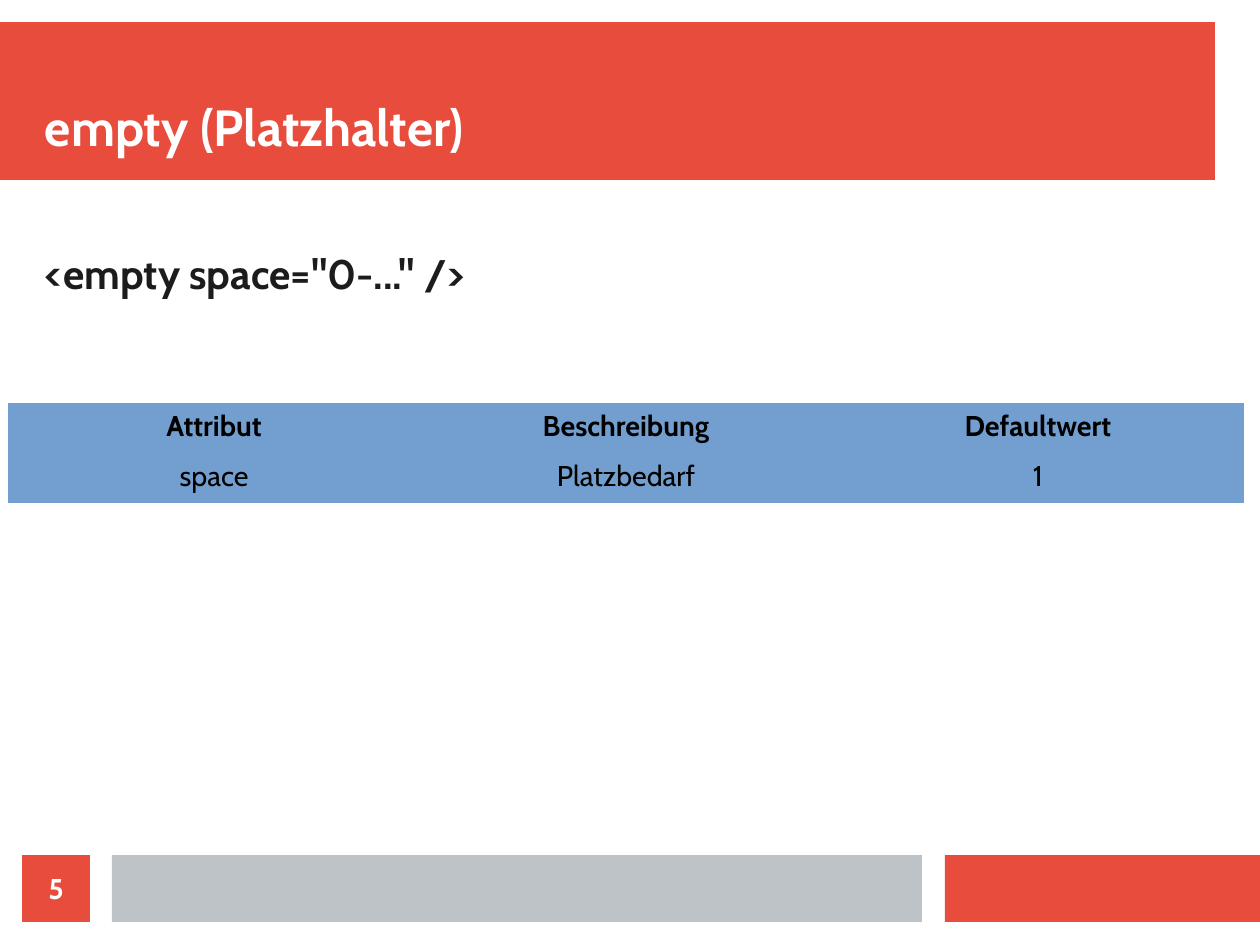
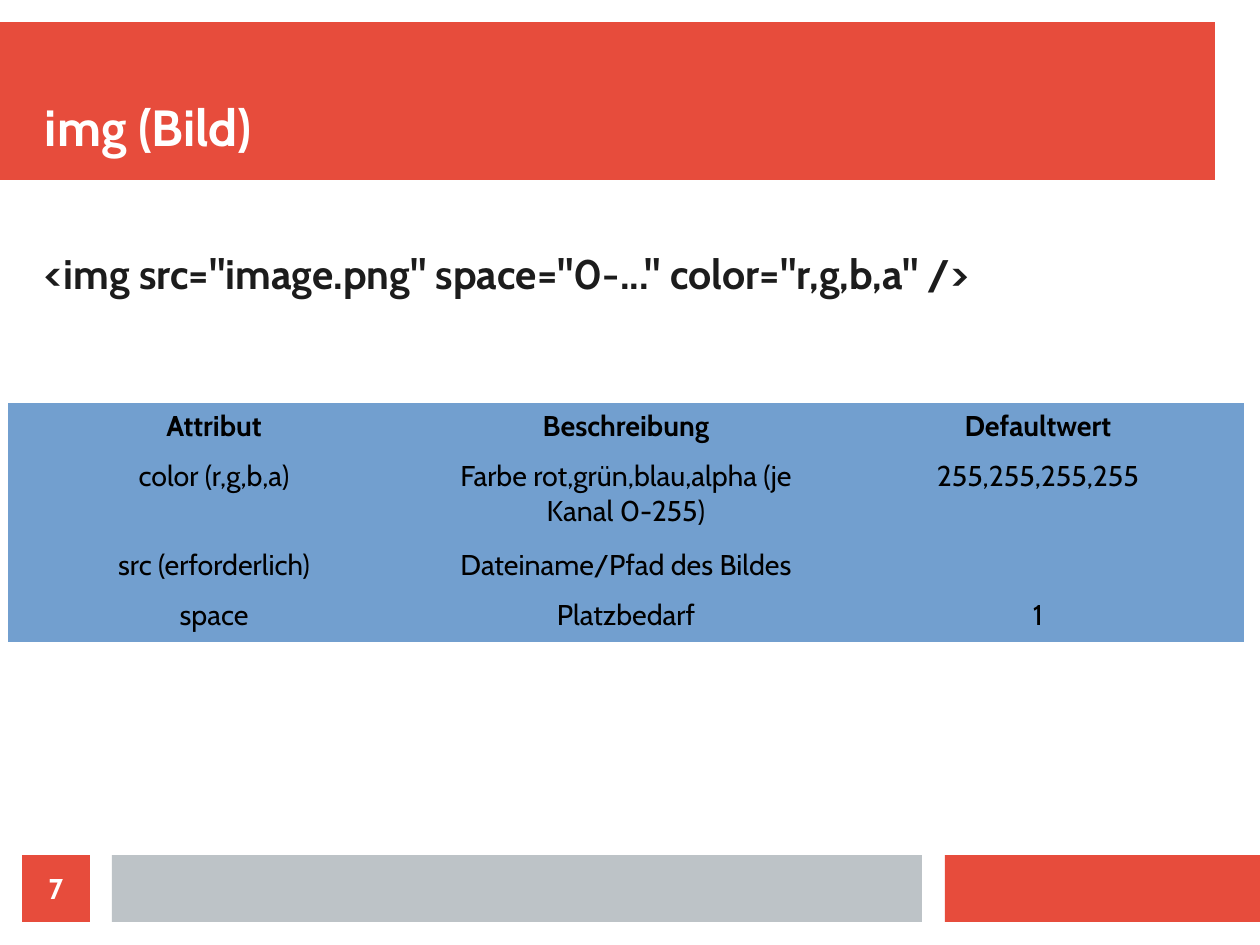
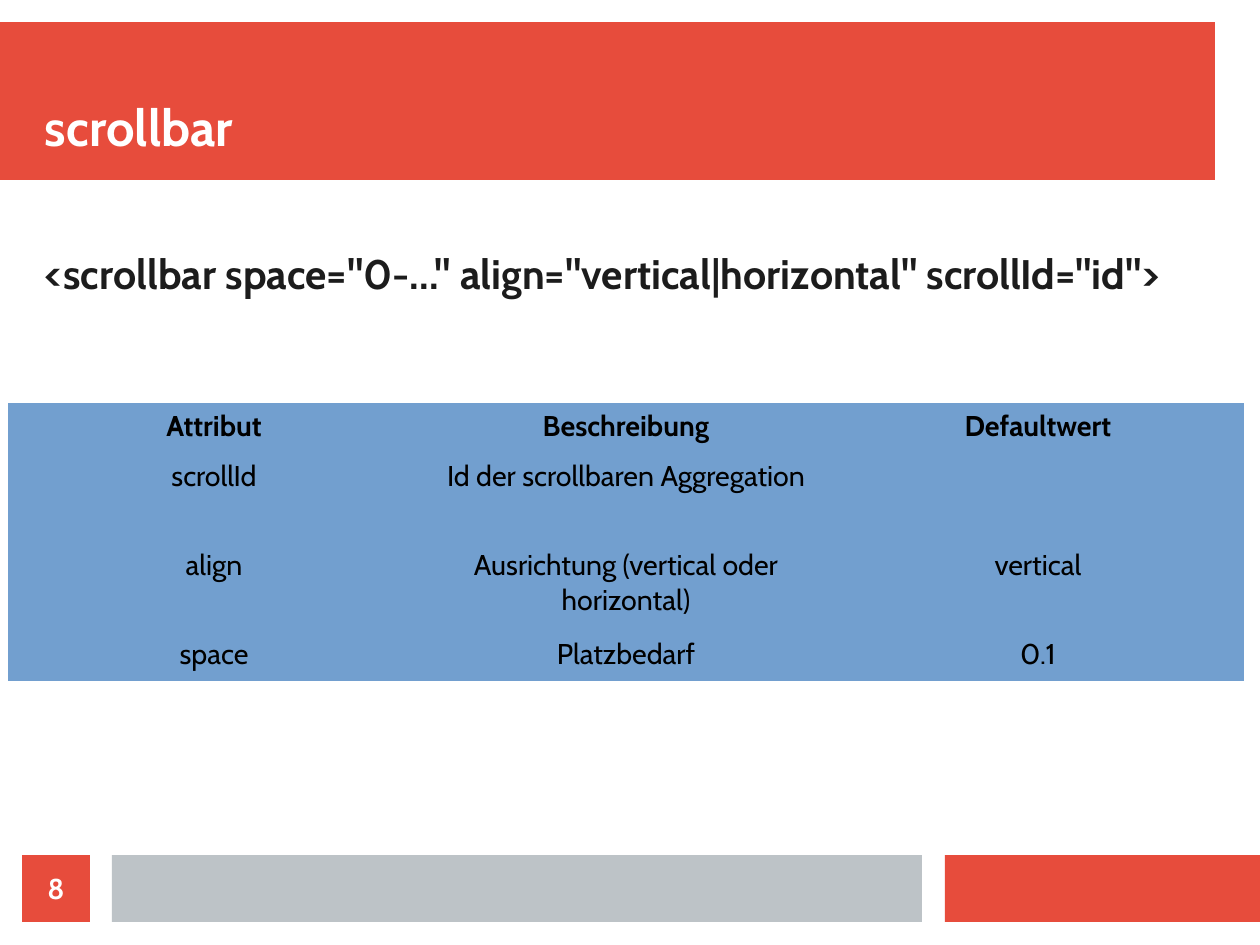
from dataclasses import dataclass

from pptx import Presentation
from pptx.dml.color import RGBColor
from pptx.enum.shapes import MSO_SHAPE
from pptx.enum.text import MSO_ANCHOR, PP_ALIGN
from pptx.oxml.ns import qn
from pptx.util import Pt

PX = 8000
NO_STYLE_NO_GRID = "{2D5ABB26-0587-4C30-8999-92F81FD0307C}"


@dataclass(frozen=True)
class Theme:
    font: str = "Cabin"
    red: str = "E74C3C"
    grey: str = "BDC3C7"
    blue: str = "729FCF"
    white: str = "FFFFFF"
    ink: str = "1C1C1C"
    black: str = "000000"
    title_size: int = 32
    syntax_size: int = 26
    small_size: int = 18


theme = Theme()


def add_band(slide, box, colour):
    band = slide.shapes.add_shape(MSO_SHAPE.RECTANGLE, *[n * PX for n in box])
    band.shadow.inherit = False
    band.fill.solid()
    band.fill.fore_color.rgb = RGBColor.from_string(colour)
    band.line.fill.background()
    return band


def write(frame, text, size, colour, bold=True, align=PP_ALIGN.LEFT):
    frame.text = text
    frame.word_wrap = True
    paragraph = frame.paragraphs[0]
    paragraph.alignment = align
    for run in paragraph.runs:
        run.font.name = theme.font
        run.font.size = Pt(size)
        run.font.bold = bold
        run.font.color.rgb = RGBColor.from_string(colour)


BANDS = [
    ((0, 22, 1215, 158), theme.red),
    ((945, 855, 315, 67), theme.red),
    ((112, 855, 810, 67), theme.grey),
]
NUMBER_BOX = (22, 855, 68, 67)
TITLE_BOX = (45, 45, 1170, 112)
SYNTAX_BOX = (45, 248, 1148, 585)
TABLE_LEFT, TABLE_TOP, COLUMN_WIDTH = 8, 403, 412
ONE_LINE, TWO_LINES = 50, 89

HEADER = ("Attribut", "Beschreibung", "Defaultwert")
ELEMENTS = [
    (
        "5",
        "empty (Platzhalter)",
        '<empty space="0-..." />',
        [(ONE_LINE, ("space", "Platzbedarf", "1"))],
    ),
    (
        "7",
        "img (Bild)",
        '<img src="image.png" space="0-..." color="r,g,b,a" />',
        [
            (TWO_LINES, ("color (r,g,b,a)", "Farbe rot,grün,blau,alpha (je Kanal 0-255)", "255,255,255,255")),
            (ONE_LINE, ("src (erforderlich)", "Dateiname/Pfad des Bildes", "")),
            (ONE_LINE, ("space", "Platzbedarf", "1")),
        ],
    ),
    (
        "8",
        "scrollbar",
        '<scrollbar space="0-..." align="vertical|horizontal" scrollId="id">',
        [
            (TWO_LINES, ("scrollId", "Id der scrollbaren Aggregation", "")),
            (TWO_LINES, ("align", "Ausrichtung (vertical oder horizontal)", "vertical")),
            (ONE_LINE, ("space", "Platzbedarf", "0.1")),
        ],
    ),
]

deck = Presentation()
deck.slide_width = 1260 * PX
deck.slide_height = 945 * PX

for number, title, syntax, attributes in ELEMENTS:
    slide = deck.slides.add_slide(deck.slide_layouts[6])
    for box, colour in BANDS:
        add_band(slide, box, colour)

    for box, text, size, colour, anchor in [
        (TITLE_BOX, title, theme.title_size, theme.white, MSO_ANCHOR.BOTTOM),
        (SYNTAX_BOX, syntax, theme.syntax_size, theme.ink, MSO_ANCHOR.TOP),
    ]:
        frame = slide.shapes.add_textbox(*[n * PX for n in box]).text_frame
        frame.margin_left = frame.margin_right = frame.margin_top = frame.margin_bottom = 0
        frame.vertical_anchor = anchor
        write(frame, text, size, colour)

    rows = [(ONE_LINE, HEADER)] + attributes
    attribute_table = slide.shapes.add_table(
        len(rows),
        len(HEADER),
        TABLE_LEFT * PX,
        TABLE_TOP * PX,
        len(HEADER) * COLUMN_WIDTH * PX,
        sum(height for height, _ in rows) * PX,
    ).table
    attribute_table.horz_banding = False
    attribute_table.first_row = False
    attribute_table._tbl.tblPr.find(qn("a:tableStyleId")).text = NO_STYLE_NO_GRID
    for row_index, (height, texts) in enumerate(rows):
        attribute_table.rows[row_index].height = height * PX
        for column_index, text in enumerate(texts):
            cell = attribute_table.cell(row_index, column_index)
            cell.fill.solid()
            cell.fill.fore_color.rgb = RGBColor.from_string(theme.blue)
            write(cell.text_frame, text, theme.small_size, theme.black, row_index == 0, PP_ALIGN.CENTER)

    badge = add_band(slide, NUMBER_BOX, theme.red).text_frame
    badge.margin_left = badge.margin_right = badge.margin_top = badge.margin_bottom = 0
    badge.vertical_anchor = MSO_ANCHOR.MIDDLE
    write(badge, number, theme.small_size, theme.white, align=PP_ALIGN.CENTER)

deck.save("out.pptx")
